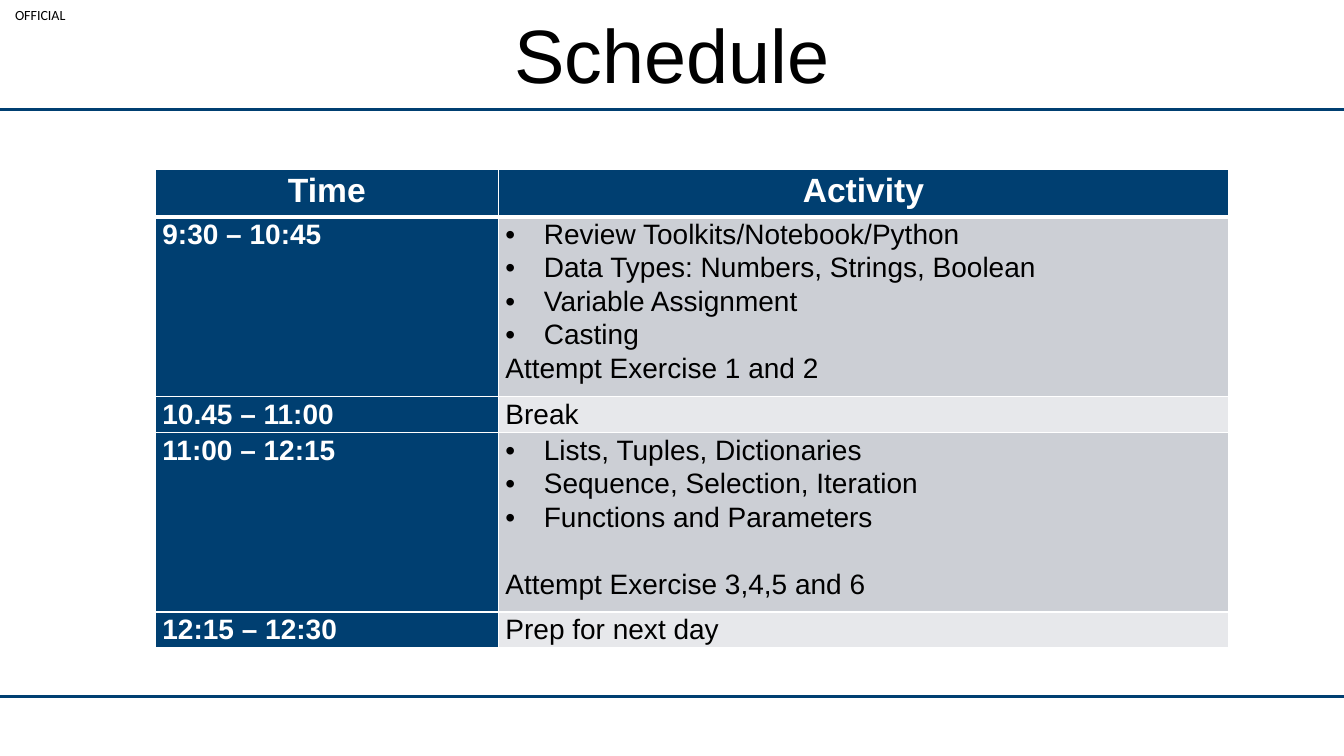
from lxml.etree import SubElement
from pptx import Presentation
from pptx.dml.color import RGBColor
from pptx.enum.shapes import MSO_CONNECTOR
from pptx.enum.text import MSO_ANCHOR, PP_ALIGN
from pptx.oxml.ns import qn
from pptx.util import Pt

NAVY = RGBColor(0x00, 0x3F, 0x71)
GREY = RGBColor(0xCC, 0xCF, 0xD5)
PALE = RGBColor(0xE7, 0xE8, 0xEB)
WHITE = RGBColor(0xFF, 0xFF, 0xFF)
BLACK = RGBColor(0x00, 0x00, 0x00)
WIDTH, HEIGHT = 960, 540


class Deck:
    font = "Arial"
    indent = 27.5

    def __init__(self):
        self.prs = Presentation()
        self.prs.slide_width, self.prs.slide_height = Pt(WIDTH), Pt(HEIGHT)
        self.s = self.prs.slides.add_slide(self.prs.slide_layouts[6])

    def paragraph(self, p, text, size, color=BLACK, bold=False, font=None, **layout):
        for name, value in layout.items():
            setattr(p, name, value)
        r = p.add_run()
        r.text = text
        style = {"size": Pt(size), "bold": bold, "name": font or self.font}
        for name, value in style.items():
            setattr(r.font, name, value)
        r.font.color.rgb = color

    def text(self, x, y, w, h, text, size, font=None):
        tf = self.s.shapes.add_textbox(Pt(x), Pt(y), Pt(w), Pt(h)).text_frame
        frame = dict.fromkeys(("margin_left", "margin_top", "margin_right", "margin_bottom"), 0)
        frame.update(word_wrap=True, vertical_anchor=MSO_ANCHOR.MIDDLE)
        for name, value in frame.items():
            setattr(tf, name, value)
        self.paragraph(tf.paragraphs[0], text, size, font=font, alignment=PP_ALIGN.CENTER)

    def rule(self, y):
        line = self.s.shapes.add_connector(MSO_CONNECTOR.STRAIGHT, 0, Pt(y), Pt(WIDTH), Pt(y))
        line.line.color.rgb = NAVY
        line.line.width = Pt(2)
        SubElement(line._element.spPr, qn("a:effectLst"))

    def table(self, x, y, widths, heights):
        table = self.s.shapes.add_table(len(heights), len(widths), Pt(x), Pt(y),
                                        Pt(sum(widths)), Pt(sum(heights))).table
        for column, width in zip(table.columns, widths):
            column.width = Pt(width)
        for row, height in zip(table.rows, heights):
            row.height = Pt(height)
        return table

    def bullet(self, p):
        pPr = p._p.get_or_add_pPr()
        pPr.set("marL", str(Pt(self.indent)))
        pPr.set("indent", str(-Pt(self.indent)))
        SubElement(pPr, qn("a:buFont"), typeface=self.font)
        SubElement(pPr, qn("a:buChar"), char="•")

    def border(self, cell, bottom):
        tcPr = cell._tc.get_or_add_tcPr()
        for side, width in {"L": 1, "R": 1, "T": 1, "B": bottom}.items():
            ln = SubElement(tcPr, qn(f"a:ln{side}"), w=str(Pt(width)))
            SubElement(SubElement(ln, qn("a:solidFill")), qn("a:srgbClr"), val=str(WHITE))

    def cell(self, cell, fill, lines, size=20, bullets=0, gap=0, bottom=1, align=PP_ALIGN.LEFT):
        self.border(cell, bottom)
        cell.fill.solid()
        cell.fill.fore_color.rgb = fill
        margins = {"margin_left": 5, "margin_right": 5, "margin_top": 0, "margin_bottom": 0}
        for name, value in margins.items():
            setattr(cell, name, Pt(value))
        tf = cell.text_frame
        dark = fill == NAVY
        for i, line in enumerate(lines):
            p = tf.add_paragraph() if i else tf.paragraphs[0]
            self.paragraph(p, line, size, WHITE if dark else BLACK, dark,
                           alignment=align, line_spacing=1.07,
                           space_before=Pt(gap if i and i == bullets else 0))
            if i < bullets:
                self.bullet(p)


SCHEDULE = [
    ("9:30 – 10:45", ["Review Toolkits/Notebook/Python", "Data Types: Numbers, Strings, Boolean",
                      "Variable Assignment", "Casting", "Attempt Exercise 1 and 2"], 4, 0),
    ("10.45 – 11:00", ["Break"], 0, 0),
    ("11:00 – 12:15", ["Lists, Tuples, Dictionaries", "Sequence, Selection, Iteration",
                       "Functions and Parameters", "Attempt Exercise 3,4,5 and 6"], 3, 24),
    ("12:15 – 12:30", ["Prep for next day"], 0, 0),
]

deck = Deck()
for y in (78, 497.5):
    deck.rule(y)
deck.text(0, 0, 57.5, 21, "OFFICIAL", 10, font="Calibri")
deck.text(330, 1.5, 300, 73, "Schedule", 54)

table = deck.table(111, 121, (245, 521.5), (34, 128, 25.6, 128, 25.6))
for column, heading in enumerate(("Time", "Activity")):
    deck.cell(table.cell(0, column), NAVY, [heading], 24, bottom=3, align=PP_ALIGN.CENTER)
for row, (time, activities, bullets, gap) in enumerate(SCHEDULE, 1):
    deck.cell(table.cell(row, 0), NAVY, [time])
    deck.cell(table.cell(row, 1), GREY if row % 2 else PALE, activities, bullets=bullets, gap=gap)

deck.prs.save("out.pptx")
